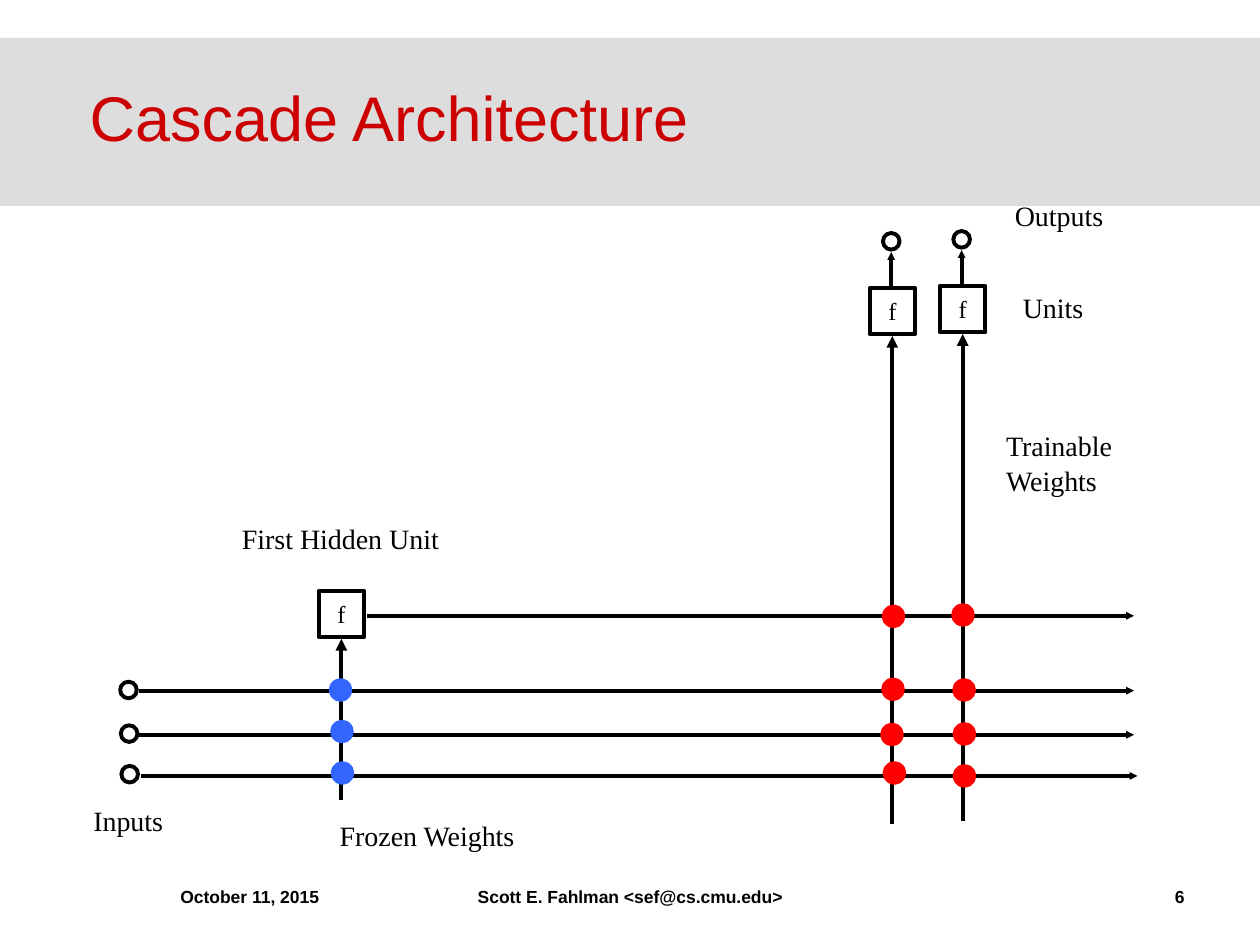
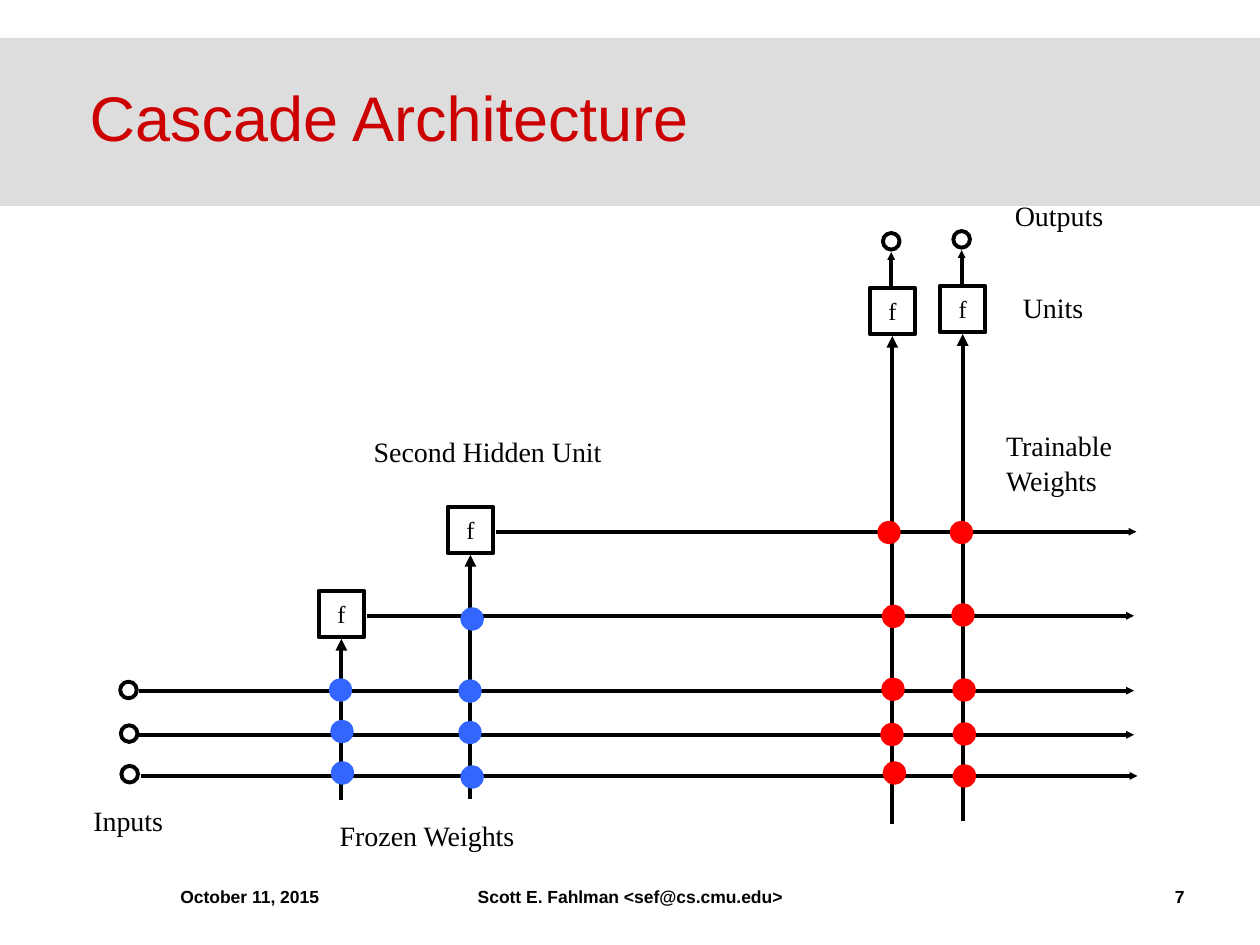
from dataclasses import dataclass

import pptx
import pptx.dml.color
import pptx.enum.shapes
import pptx.enum.text
import pptx.oxml
import pptx.oxml.ns
import pptx.shapes.autoshape
import pptx.slide
import pptx.util

Pt = pptx.util.Pt
RGB = pptx.dml.color.RGBColor
Align = pptx.enum.text.PP_ALIGN
Anchor = pptx.enum.text.MSO_ANCHOR
AutoSize = pptx.enum.text.MSO_AUTO_SIZE
Shape = pptx.enum.shapes.MSO_SHAPE
Slide = pptx.slide.Slide


@dataclass(frozen=True)
class Theme:
    ink: RGB = RGB(0x00, 0x00, 0x00)
    band: RGB = RGB(0xDD, 0xDD, 0xDD)
    title: RGB = RGB(0xCC, 0x00, 0x00)
    trainable: RGB = RGB(0xFF, 0x00, 0x00)
    frozen: RGB = RGB(0x33, 0x66, 0xFF)
    heading_font: str = "Arial"
    label_font: str = "Times New Roman"
    title_size: float = 36
    label_size: float = 16
    unit_size: float = 14
    footer_size: float = 10
    line_width: float = 2.25
    dot_line_width: float = 4


@dataclass(frozen=True)
class Area:
    left: float
    top: float
    width: float
    height: float


@dataclass(frozen=True)
class Label:
    text: str
    area: Area


@dataclass(frozen=True)
class Footer:
    text: str
    area: Area
    align: Align


@dataclass(frozen=True)
class Signal:
    """A horizontal line that carries one value to the right."""
    start: float
    end: float
    y: float


@dataclass(frozen=True)
class Unit:
    """A unit box, the stem that feeds it and the weight centres on the stem."""
    x: float
    top: float
    stem_end: float
    weights: tuple[tuple[float, float], ...]


THEME = Theme()
BAND = Area(0, 21.6, 720, 96)
TITLE = Area(44, 21.6, 640, 90)
UNIT_WIDTH, UNIT_HEIGHT = 26, 26.5
CIRCLE = 9.5
STEM_GAP = 1
OUTPUT_ARROW = 20.5
OUTPUT_RING = 26.6

DATE = "October 11, 2015"
AUTHOR = "Scott E. Fahlman <sef@cs.cmu.edu>"

INPUT_RINGS = ((73.4, 394.3), (73.8, 419.2), (74.1, 442.4))
INPUT_SIGNALS = (
    Signal(79.2, 648, 394.7),
    Signal(78.5, 648, 419.9),
    Signal(80.6, 650, 443.4),
)
HIDDEN_SIGNALS = (Signal(209.5, 648, 351.9), Signal(283.7, 649.4, 303.9))

# Weights run through the three inputs first, then the hidden units.
HIDDEN_UNITS = (
    Unit(195.1, 337.6, 457.2, ((194.6, 394.3), (195.4, 418), (195.7, 441.7))),
    Unit(268.8, 289.6, 456.6,
         ((268.6, 394.9), (268.6, 418.6), (269.8, 444), (269.8, 353.7))),
)
OUTPUT_UNITS = (
    Unit(509.9, 164.5, 470.8,
         ((510.3, 393.9), (509.7, 419.7), (511.1, 441.7), (510.6, 352.2), (508, 304.3))),
    Unit(550.1, 163.4, 469.4,
         ((550.9, 394.3), (551.1, 419.4), (551.1, 443.4), (550.3, 351.4), (549.4, 304.3))),
)

LABELS = (
    Label("Inputs", Area(46.2, 455, 59, 26.6)),
    Label("Outputs", Area(572.8, 108.8, 70.6, 26.6)),
    Label("Units", Area(577.4, 161.3, 51, 26.6)),
    Label("Frozen Weights", Area(187, 463, 122.4, 26.6)),
    Label("Trainable\nWeights", Area(567.8, 240.5, 82, 46)),
)
HIDDEN_LABELS = (
    Label("First Hidden Unit", Area(131.2, 293.8, 136.8, 26.6)),
    Label("Second Hidden Unit", Area(206.4, 243.6, 152.6, 26.6)),
)


def place(item, area: Area) -> None:
    item.left, item.top = Pt(area.left), Pt(area.top)
    item.width, item.height = Pt(area.width), Pt(area.height)


def set_font(para, name: str, size: float, color: RGB, bold: bool = False) -> None:
    para.font.name = name
    para.font.size = Pt(size)
    para.font.color.rgb = color
    para.font.bold = bold


def add_shape(page: Slide, kind: Shape, area: Area, fill: RGB | None = None,
              line: RGB | None = None,
              width: float = THEME.line_width) -> pptx.shapes.autoshape.Shape:
    shape = page.shapes.add_shape(kind, 0, 0, 0, 0)
    place(shape, area)
    shape.shadow.inherit = False
    if fill is None:
        shape.fill.background()
    else:
        shape.fill.solid()
        shape.fill.fore_color.rgb = fill
    if line is None:
        shape.line.fill.background()
    else:
        shape.line.color.rgb = line
        shape.line.width = Pt(width)
    return shape


def circle_area(x: float, y: float) -> Area:
    return Area(x - CIRCLE / 2, y - CIRCLE / 2, CIRCLE, CIRCLE)


def add_ring(page: Slide, x: float, y: float) -> None:
    add_shape(page, Shape.OVAL, circle_area(x, y), line=THEME.ink)


def add_weight(page: Slide, x: float, y: float, color: RGB) -> None:
    add_shape(page, Shape.OVAL, circle_area(x, y), color, color, THEME.dot_line_width)


def add_arrow(page: Slide, start: tuple[float, float], end: tuple[float, float],
              head_size: str = "sm") -> None:
    arrow = page.shapes.add_connector(
        pptx.enum.shapes.MSO_CONNECTOR.STRAIGHT, *map(Pt, start + end))
    arrow.line.color.rgb = THEME.ink
    arrow.line.width = Pt(THEME.line_width)
    head = pptx.oxml.parse_xml(
        f'<a:tailEnd {pptx.oxml.ns.nsdecls("a")} type="triangle" '
        f'w="{head_size}" len="{head_size}"/>')
    arrow.line._get_or_add_ln().append(head)
    arrow.element.spPr.append(
        pptx.oxml.parse_xml(f'<a:effectLst {pptx.oxml.ns.nsdecls("a")}/>'))


def add_unit(page: Slide, unit: Unit) -> None:
    bottom = unit.top + UNIT_HEIGHT
    box = add_shape(page, Shape.RECTANGLE,
                    Area(unit.x - UNIT_WIDTH / 2, unit.top, UNIT_WIDTH, UNIT_HEIGHT),
                    line=THEME.ink)
    frame = box.text_frame
    frame.margin_left = frame.margin_right = frame.margin_top = frame.margin_bottom = 0
    frame.vertical_anchor = Anchor.MIDDLE
    frame.text = "f"
    para = frame.paragraphs[0]
    para.alignment = Align.CENTER
    set_font(para, THEME.label_font, THEME.unit_size, THEME.ink)
    add_arrow(page, (unit.x, unit.stem_end), (unit.x, bottom + STEM_GAP), "med")


def add_output(page: Slide, unit: Unit) -> None:
    x = unit.x - 0.6
    add_arrow(page, (x, unit.top), (x, unit.top - OUTPUT_ARROW))
    add_ring(page, x, unit.top - OUTPUT_RING)


def add_label(page: Slide, label: Label) -> None:
    box = page.shapes.add_textbox(0, 0, 0, 0)
    place(box, label.area)
    frame = box.text_frame
    frame.word_wrap = False
    frame.auto_size = AutoSize.SHAPE_TO_FIT_TEXT
    frame.text = label.text
    for para in frame.paragraphs:
        para.line_spacing = 1.05
        set_font(para, THEME.label_font, THEME.label_size, THEME.ink)


def add_footer(page: Slide, footer: Footer) -> None:
    box = page.shapes.add_textbox(0, 0, 0, 0)
    place(box, footer.area)
    frame = box.text_frame
    frame.word_wrap = True
    frame.vertical_anchor = Anchor.BOTTOM
    frame.text = footer.text
    para = frame.paragraphs[0]
    para.alignment = footer.align
    set_font(para, THEME.heading_font, THEME.footer_size, THEME.ink, bold=True)


def add_page(deck, title_text: str, number: int) -> Slide:
    """Add a slide with the shared band, title and footers."""
    page = deck.slides.add_slide(deck.slide_layouts[5])
    title = page.shapes.title
    place(title, TITLE)
    frame = title.text_frame
    frame.text = title_text
    frame.auto_size = AutoSize.NONE
    frame.vertical_anchor = Anchor.MIDDLE
    para = frame.paragraphs[0]
    para.alignment = Align.LEFT
    set_font(para, THEME.heading_font, THEME.title_size, THEME.title)

    band = add_shape(page, Shape.RECTANGLE, BAND, THEME.band)
    title.element.addprevious(band.element)

    for footer in (
        Footer(DATE, Area(96, 504, 108, 18), Align.LEFT),
        Footer(AUTHOR, Area(204, 504, 312, 18), Align.CENTER),
        Footer(str(number), Area(516, 504, 168, 18), Align.RIGHT),
    ):
        add_footer(page, footer)
    return page


def draw_network(page: Slide, hidden_count: int) -> None:
    """Draw the cascade after hidden_count hidden units have been added."""
    hidden = HIDDEN_UNITS[:hidden_count]
    signals = INPUT_SIGNALS + HIDDEN_SIGNALS[:hidden_count]

    for x, y in INPUT_RINGS:
        add_ring(page, x, y)
    for signal in signals:
        add_arrow(page, (signal.start, signal.y), (signal.end, signal.y))
    for unit in hidden + OUTPUT_UNITS:
        add_unit(page, unit)
    for unit in OUTPUT_UNITS:
        add_output(page, unit)
    for units, color in ((hidden, THEME.frozen), (OUTPUT_UNITS, THEME.trainable)):
        for unit in units:
            for x, y in unit.weights[:len(signals)]:
                add_weight(page, x, y, color)
    for label in LABELS + (HIDDEN_LABELS[hidden_count - 1],):
        add_label(page, label)


def main() -> None:
    deck = pptx.Presentation()
    deck.slide_width, deck.slide_height = Pt(720), Pt(540)
    for hidden_count, number in ((1, 6), (2, 7)):
        page = add_page(deck, "Cascade Architecture", number)
        draw_network(page, hidden_count)
    deck.save("out.pptx")


if __name__ == "__main__":
    main()
